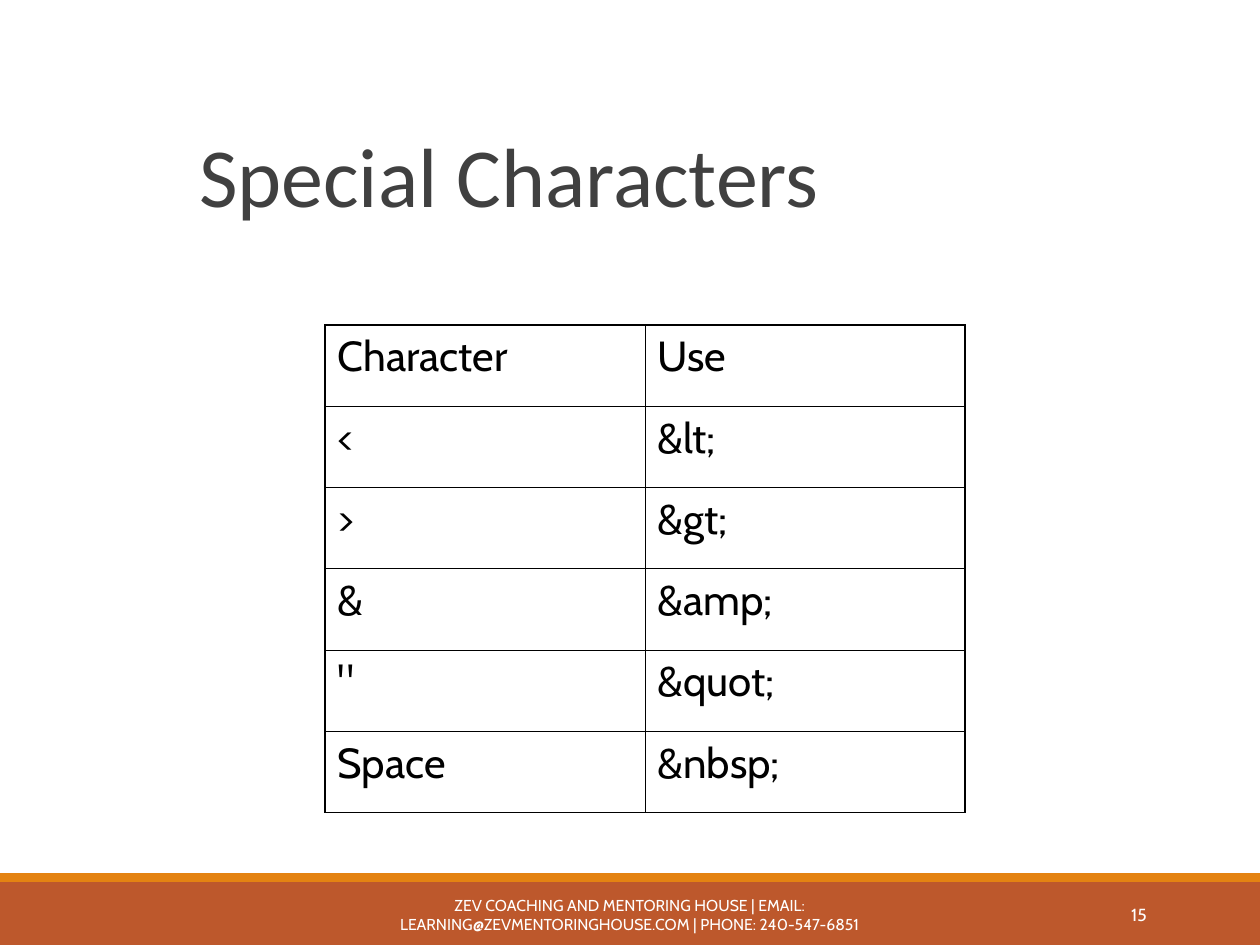
from lxml import etree
from pptx import Presentation
from pptx.dml.color import RGBColor
from pptx.enum.shapes import MSO_SHAPE
from pptx.enum.text import MSO_ANCHOR, PP_ALIGN
from pptx.oxml.ns import qn
from pptx.util import Inches, Pt

RECTANGLE = MSO_SHAPE.RECTANGLE
LEFT, CENTER, RIGHT = PP_ALIGN.LEFT, PP_ALIGN.CENTER, PP_ALIGN.RIGHT
TOP, MIDDLE, BOTTOM = MSO_ANCHOR.TOP, MSO_ANCHOR.MIDDLE, MSO_ANCHOR.BOTTOM

TITLE_ONLY = 5
COLUMNS, ROWS = 100, 75
THIN, THICK = Pt(0.45), Pt(1.08)
TITLE_FONT, BODY_FONT = "Calibri", "Cabin"
COLORS = {
    "bar": "BD582C",
    "stripe": "E48312",
    "title": "404040",
    "text": "000000",
    "footer": "FFFFFF",
}
CHARACTERS = [
    ("Character", "Use"),
    ("<", "&lt;"),
    (">", "&gt;"),
    ("&", "&amp;"),
    ('"', "&quot;"),
    ("Space", "&nbsp;"),
]
FOOTER = ("ZEV COACHING AND MENTORING HOUSE | EMAIL: "
          "LEARNING@ZEVMENTORINGHOUSE.COM | PHONE: 240-547-6851")


def write(frame, text, *, size, color, font=BODY_FONT, align=LEFT,
          anchor=TOP, before=0, spacing=1.0):
    """Fill a text frame with one formatted paragraph."""
    frame.word_wrap = True
    frame.vertical_anchor = anchor
    para = frame.paragraphs[0]
    para.alignment = align
    para.space_before = Pt(before)
    para.line_spacing = spacing
    span = para.add_run()
    span.text = text
    span.font.size = Pt(size)
    span.font.name = font
    span.font.color.rgb = RGBColor.from_string(COLORS[color])


def set_borders(cell, widths):
    """Draw the cell's sides; widths run left, right, top, bottom."""
    properties = cell._tc.get_or_add_tcPr()
    for place, (side, width) in enumerate(zip("LRTB", widths)):
        line = etree.Element(qn(f"a:ln{side}"), w=str(int(width)))
        fill = etree.SubElement(line, qn("a:solidFill"))
        etree.SubElement(fill, qn("a:srgbClr"), val=COLORS["text"])
        properties.insert(place, line)


class SlideBuilder:
    """Places elements on a grid of 100 columns by 75 rows."""

    def __init__(self, deck):
        self.deck = deck
        self.page = deck.slides.add_slide(deck.slide_layouts[TITLE_ONLY])

    def area(self, column, row, columns, rows):
        across = self.deck.slide_width / COLUMNS
        down = self.deck.slide_height / ROWS
        return (round(column * across), round(row * down),
                round(columns * across), round(rows * down))

    def title(self, text, *place):
        box = self.page.shapes.title
        box.left, box.top, box.width, box.height = self.area(*place)
        write(box.text_frame, text, size=48, color="title", font=TITLE_FONT,
              anchor=BOTTOM, spacing=0.85)

    def bar(self, color, *place):
        bar = self.page.shapes.add_shape(RECTANGLE, *self.area(*place))
        bar.shadow.inherit = False
        bar.fill.solid()
        bar.fill.fore_color.rgb = RGBColor.from_string(COLORS[color])
        bar.line.fill.background()

    def label(self, text, *place, **style):
        box = self.page.shapes.add_textbox(*self.area(*place))
        write(box.text_frame, text, color="footer", anchor=MIDDLE, **style)

    def table(self, records, *place):
        """Add a table with thin inner lines and a thicker outer frame."""
        last_row, last_column = len(records) - 1, len(records[0]) - 1
        table = self.page.shapes.add_table(
            last_row + 1, last_column + 1, *self.area(*place)).table
        table.first_row = table.horz_banding = False
        for row, record in enumerate(records):
            for column, text in enumerate(record):
                cell = table.cell(row, column)
                cell.fill.background()
                write(cell.text_frame, text, size=24, color="text", before=6)
                outer = (column == 0, column == last_column,
                         row == 0, row == last_row)
                set_borders(cell, [THICK if edge else THIN for edge in outer])


def main():
    deck = Presentation()
    deck.slide_width, deck.slide_height = Inches(10), Inches(7.5)
    slide = SlideBuilder(deck)
    slide.bar("bar", 0, 70, COLUMNS, 5)
    slide.bar("stripe", 0, 69.3, COLUMNS, 0.7)
    slide.label("15", 81.2, 70.6, 10.8, 4, size=10, align=RIGHT)
    slide.title("Special Characters", 14.8, 2.3, 85.2, 16)
    slide.table(CHARACTERS, 25.8, 25.8, 50.8, 38.7)
    slide.label(FOOTER, 30.2, 70.6, 39.5, 4, size=9, align=CENTER)
    deck.save("out.pptx")


if __name__ == "__main__":
    main()
